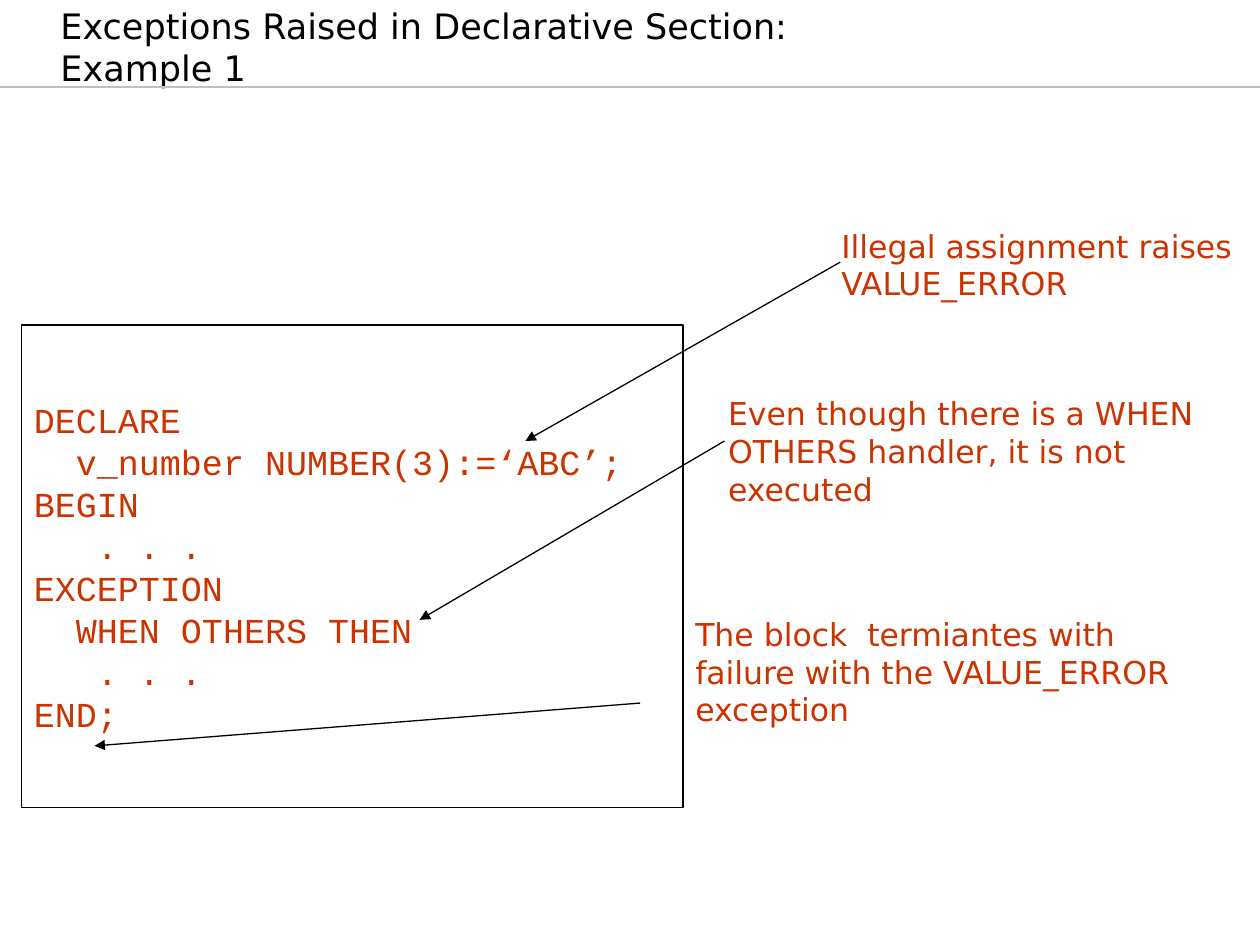
"""Build a slide on exceptions raised in the declarative section of a block."""
from lxml.etree import SubElement
from pptx import Presentation
from pptx.dml.color import RGBColor
from pptx.enum.shapes import MSO_CONNECTOR, MSO_SHAPE
from pptx.enum.text import MSO_ANCHOR, MSO_AUTO_SIZE, PP_ALIGN
from pptx.oxml.ns import qn
from pptx.util import Inches, Pt

BLACK = RGBColor(0x00, 0x00, 0x00)
WHITE = RGBColor(0xFF, 0xFF, 0xFF)
SILVER = RGBColor(0xC0, 0xC0, 0xC0)
RUST = RGBColor(0xCC, 0x33, 0x00)
BODY_FONT = "DejaVu Sans"
CODE_FONT = "Courier New"

WIDTH, HEIGHT = 10, 7.5
RULE_Y = 0.69
TITLE_BOX = (0.08, 0.08, 9, 0.67)
CODE_BOX = (0.17, 2.58, 5.25, 3.83)
NOTE_HEIGHT = 0.7

TITLE = ["Exceptions Raised in Declarative Section:", "Example 1"]
CODE = [
    "DECLARE",
    "  v_number NUMBER(3):=‘ABC’;",
    "BEGIN",
    "   . . .",
    "EXCEPTION",
    "  WHEN OTHERS THEN",
    "   . . .",
    "END;",
]
NOTES = [
    ("Illegal assignment raises VALUE_ERROR", 6.58, 1.75, 3.42),
    ("Even though there is a WHEN OTHERS handler, it is not executed", 5.68, 3.08, 4.42),
    ("The block  termiantes with failure with the VALUE_ERROR exception", 5.42, 4.83, 4.33),
]
ARROWS = [
    ((6.67, 2.08), (4.17, 3.5)),
    ((5.75, 3.5), (3.33, 4.92)),
    ((5.08, 5.58), (0.75, 5.92)),
]


def add_run(paragraph, text, font, size, color):
    run = paragraph.add_run()
    run.text = text
    run.font.name = font
    run.font.size = Pt(size)
    run.font.color.rgb = color


def add_line(slide, start, end, color, arrow=False):
    points = [Inches(value) for value in (*start, *end)]
    connector = slide.shapes.add_connector(MSO_CONNECTOR.STRAIGHT, *points)
    connector.line.color.rgb = color
    connector.line.width = Pt(0.75)
    if arrow:
        SubElement(connector.line._get_or_add_ln(), qn("a:tailEnd"), type="triangle")
    SubElement(connector._element.spPr, qn("a:effectLst"))


def add_title(slide):
    title = slide.shapes.title
    title.left, title.top, title.width, title.height = map(Inches, TITLE_BOX)
    frame = title.text_frame
    frame.auto_size = MSO_AUTO_SIZE.NONE
    frame.vertical_anchor = MSO_ANCHOR.BOTTOM
    frame.margin_left = Inches(0.4)
    paragraph = frame.paragraphs[0]
    paragraph.alignment = PP_ALIGN.LEFT
    for index, text in enumerate(TITLE):
        if index:
            paragraph.add_line_break()
        add_run(paragraph, text, BODY_FONT, 20, BLACK)


def add_code(slide):
    box = slide.shapes.add_shape(MSO_SHAPE.RECTANGLE, *map(Inches, CODE_BOX))
    box.shadow.inherit = False
    box.fill.solid()
    box.fill.fore_color.rgb = WHITE
    box.line.color.rgb = BLACK
    box.line.width = Pt(0.75)
    frame = box.text_frame
    frame.word_wrap = True
    frame.vertical_anchor = MSO_ANCHOR.MIDDLE
    for index, text in enumerate(CODE):
        paragraph = frame.add_paragraph() if index else frame.paragraphs[0]
        paragraph.alignment = PP_ALIGN.LEFT
        add_run(paragraph, text, CODE_FONT, 20, RUST)


def add_note(slide, text, left, top, width):
    box = slide.shapes.add_textbox(*map(Inches, (left, top, width, NOTE_HEIGHT)))
    frame = box.text_frame
    frame.word_wrap = True
    frame.auto_size = MSO_AUTO_SIZE.SHAPE_TO_FIT_TEXT
    paragraph = frame.paragraphs[0]
    paragraph.space_before = Pt(11.2)
    add_run(paragraph, text, BODY_FONT, 18, RUST)


def main():
    presentation = Presentation()
    presentation.slide_width = Inches(WIDTH)
    presentation.slide_height = Inches(HEIGHT)
    slide = presentation.slides.add_slide(presentation.slide_layouts[5])
    add_line(slide, (0, RULE_Y), (WIDTH, RULE_Y), SILVER)
    add_title(slide)
    add_code(slide)
    for note in NOTES:
        add_note(slide, *note)
    for start, end in ARROWS:
        add_line(slide, start, end, BLACK, arrow=True)
    presentation.save("out.pptx")


if __name__ == "__main__":
    main()
